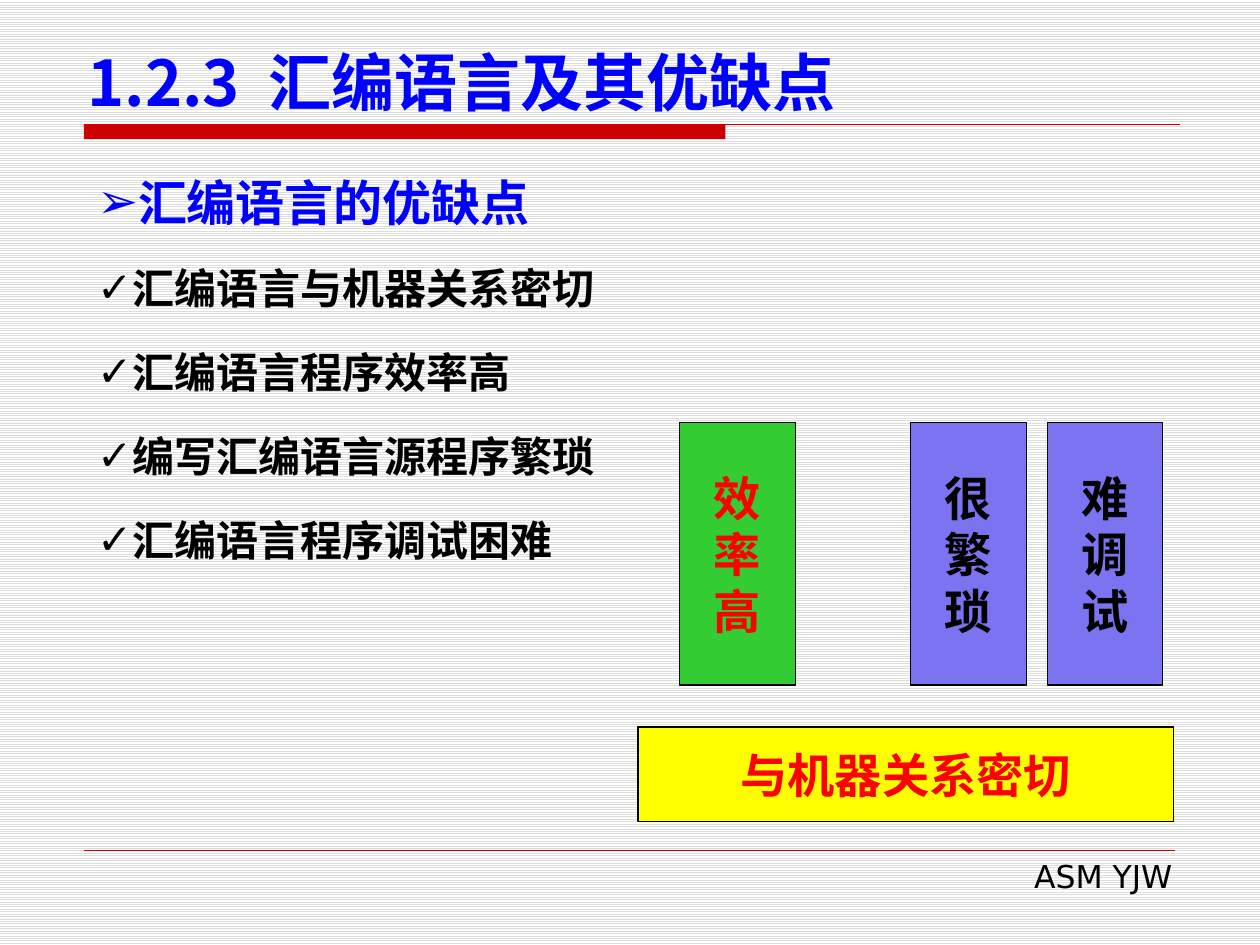
from pptx import Presentation
from pptx.dml.color import RGBColor
from pptx.enum.dml import MSO_PATTERN
from pptx.enum.shapes import MSO_CONNECTOR as Conn, MSO_SHAPE as Shape
from pptx.enum.text import MSO_ANCHOR as Anchor, MSO_AUTO_SIZE as Auto, PP_ALIGN as Align
from pptx.oxml.ns import qn
from pptx.util import Pt
from lxml.etree import SubElement

SANS, CJK = "DejaVu Sans", "Noto Sans CJK SC"
RED, BLUE, BLACK, RULE = "FF0000", "0000FF", "000000", "CC0000"


def color(code):
    return RGBColor.from_string(code)


def place(item, box):
    item.left, item.top, item.width, item.height = map(Pt, box)


def bullet(para, mark):
    props = para._p.get_or_add_pPr()
    props.set("marL", "0")
    props.set("indent", "0")
    SubElement(props, qn("a:buFont")).set("typeface", SANS)
    SubElement(props, qn("a:buChar")).set("char", mark)


def write(item, lines, size, ink=BLACK, face=CJK, bold=True, align=Align.LEFT,
          anchor=Anchor.TOP, wrap=True, mark=None, pitch=None, gap=0):
    frame = item.text_frame
    frame.auto_size = Auto.NONE
    frame.word_wrap = wrap
    frame.vertical_anchor = anchor
    frame.margin_left = frame.margin_right = Pt(7.5)
    frame.margin_top = frame.margin_bottom = Pt(4)
    for i, line in enumerate(lines):
        para = frame.paragraphs[0] if i == 0 else frame.add_paragraph()
        para.alignment = align
        para.space_before = Pt(gap if i else 0)
        if pitch:
            para.line_spacing = Pt(pitch)
        if mark:
            bullet(para, mark)
        run = para.add_run()
        run.text = line
        font = run.font
        font.size, font.bold, font.name = Pt(size), bold, face
        font.color.rgb = color(ink)
        SubElement(run._r.get_or_add_rPr(), qn("a:ea")).set("typeface", CJK)


def block(slide, box, fill, edge=None):
    item = slide.shapes.add_shape(Shape.RECTANGLE, *map(Pt, box))
    item.shadow.inherit = False
    item.fill.solid()
    item.fill.fore_color.rgb = color(fill)
    if edge:
        item.line.color.rgb = color(edge)
        item.line.width = Pt(0.75)
    else:
        item.line.fill.background()
    return item


def rule(slide, left, top, width, weight):
    line = slide.shapes.add_connector(
        Conn.STRAIGHT, Pt(left), Pt(top), Pt(left + width), Pt(top))
    line.line.color.rgb = color(RULE)
    line.line.width = Pt(weight)
    SubElement(line._element.spPr, qn("a:effectLst"))


def label(slide, box, lines, size, **style):
    item = slide.shapes.add_textbox(*map(Pt, box))
    write(item, lines, size, **style)


def backdrop(slide):
    fill = slide.background.fill
    fill.patterned()
    fill.pattern = MSO_PATTERN.LIGHT_HORIZONTAL
    fill.fore_color.rgb = color("DDDDDD")
    fill.back_color.rgb = color("FFFFFF")


def header(slide, left, top, width):
    block(slide, (left, top + 50, 366.5, 8.5), RULE)
    rule(slide, left, top + 50, width, 0.75)
    title = slide.shapes.title
    place(title, (left - 5.5, top, 652, 51))
    write(title, ["1.2.3  汇编语言及其优缺点"], 36, ink=BLUE, anchor=Anchor.BOTTOM)


def points(slide, left, top):
    label(slide, (left, top, 623.5, 42), ["汇编语言的优缺点"], 28,
          ink=BLUE, face=SANS, mark="➢")
    body = slide.placeholders[1]
    place(body, (left, top + 44.5, 354, 186.5))
    write(body, ["汇编语言与机器关系密切", "汇编语言程序效率高",
                 "编写汇编语言源程序繁琐", "汇编语言程序调试困难"],
          24, mark="✓", pitch=36, gap=12)


def pillars(slide, left, top):
    """Columns for the traits, standing over a wide base."""
    style = {"align": Align.CENTER, "anchor": Anchor.MIDDLE, "wrap": False}
    base = block(slide, (left, top + 174, 306, 54), "FFFF00", BLACK)
    write(base, ["与机器关系密切"], 27, ink=RED, **style)
    for shift, word, fill, ink in ((24, "效率高", "33CC33", RED),
                                   (156, "很繁琐", "7C73F1", BLACK),
                                   (234, "难调试", "7C73F1", BLACK)):
        column = block(slide, (left + shift, top, 66, 150), fill, BLACK)
        write(column, word, 27, ink=ink, **style)


def footer(slide, left, top, width):
    rule(slide, left, top, width, 0.25)
    label(slide, (left + 227, top - 0.5, 402.5, 30), ["ASM YJW"], 18,
          face=SANS, bold=False, align=Align.RIGHT)


def main():
    deck = Presentation()
    deck.slide_width, deck.slide_height = Pt(720), Pt(540)
    slide = deck.slides.add_slide(deck.slide_layouts[1])
    backdrop(slide)
    header(slide, 48, 21, 626.5)
    footer(slide, 48, 486, 623.5)
    points(slide, 48, 94.5)
    pillars(slide, 364.5, 241.5)
    deck.save("out.pptx")


if __name__ == "__main__":
    main()
